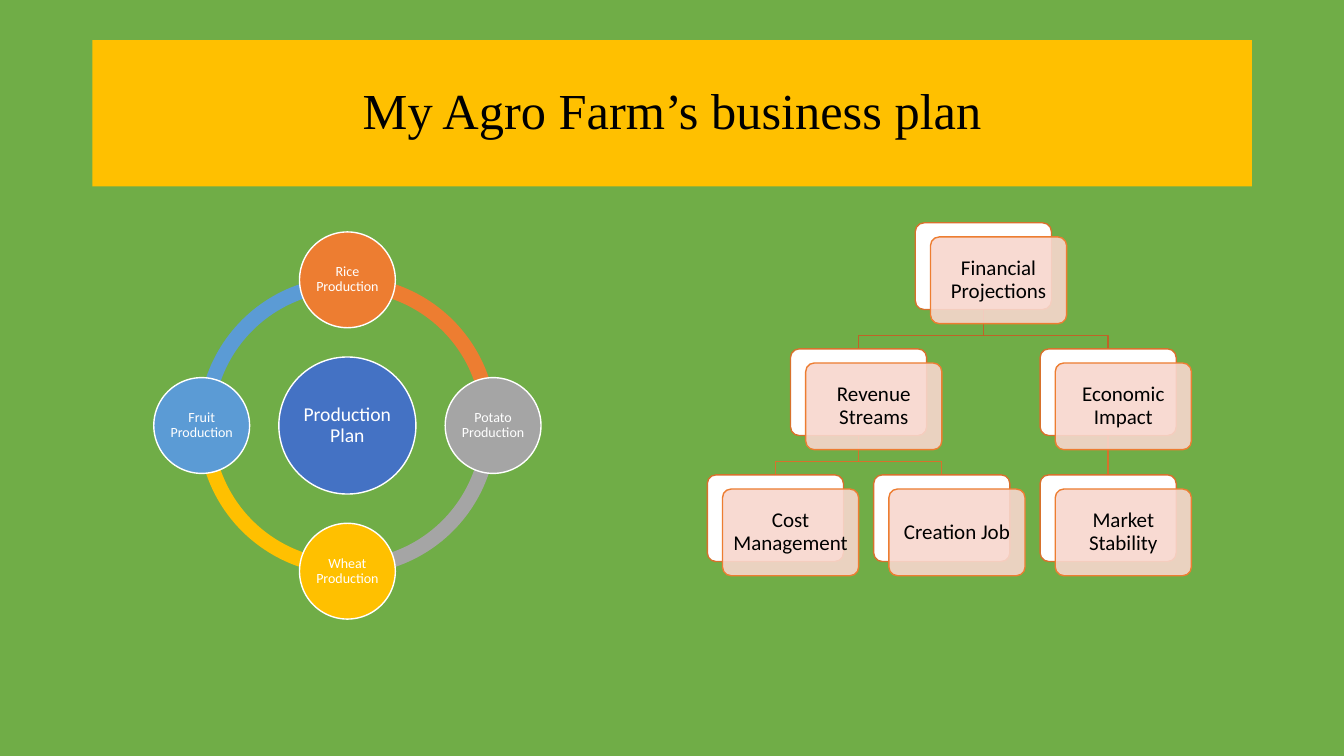
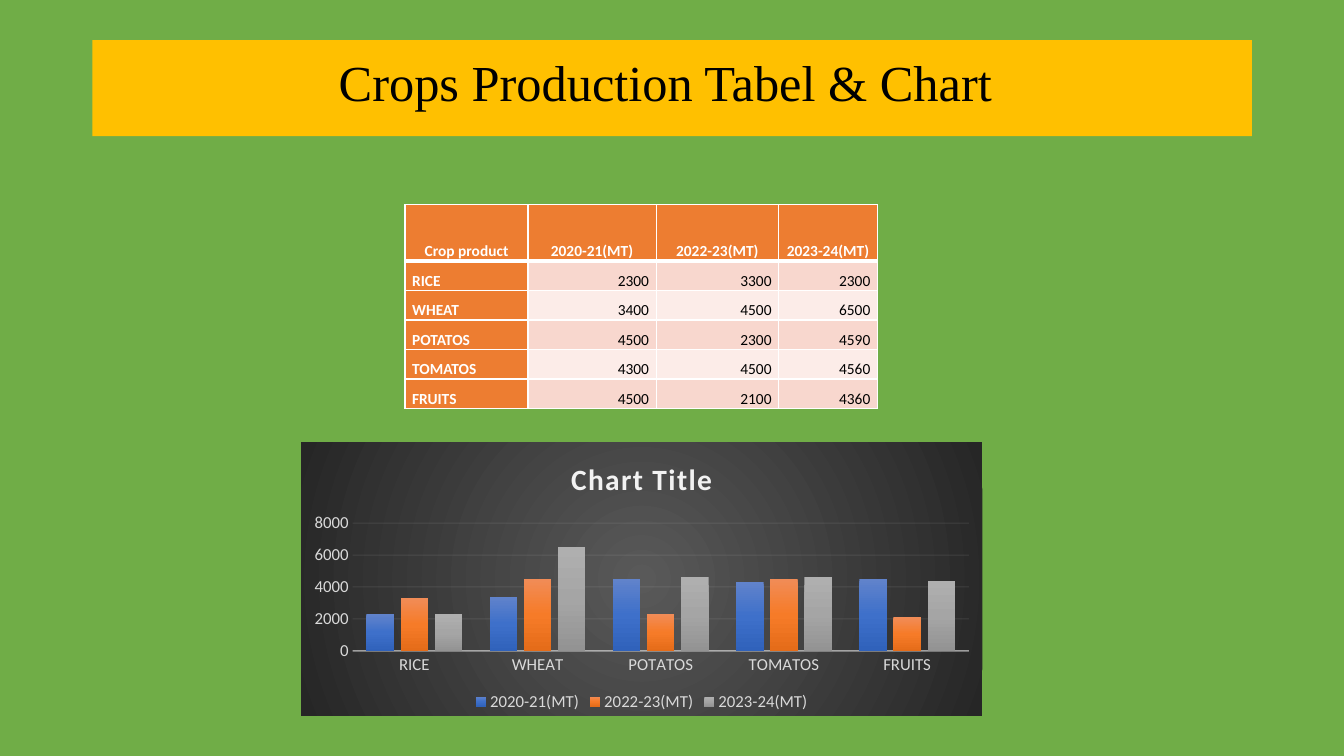
from dataclasses import dataclass
from math import cos, radians, sin

from pptx import Presentation
from pptx import util as u
from pptx.chart.data import CategoryChartData
from pptx.dml.color import RGBColor
from pptx.enum import chart as ch, shapes, text
from pptx.oxml import parse_xml
from pptx.oxml.ns import nsdecls

MSO, ALIGN, ANCHOR = shapes.MSO_SHAPE, text.PP_ALIGN, text.MSO_ANCHOR


@dataclass(frozen=True)
class Theme:
    green: str = "70AD47"
    gold: str = "FFC000"
    blue: str = "4472C4"
    sky: str = "5B9BD5"
    gray: str = "A5A5A5"
    orange: str = "ED7D31"
    rust: str = "D7712C"
    brown: str = "BE6427"
    peach: str = "F8D7CE"
    blush: str = "FCECE8"
    white: str = "FFFFFF"
    black: str = "000000"
    pale: str = "F2F2F2"
    label: str = "D9D9D9"
    serif: str = "Times New Roman"
    sans: str = "Calibri"
    head: int = 36
    hub: int = 14
    node: int = 10
    card: int = 15
    cell: int = 11
    axis: int = 12
    title: int = 21


T = Theme()
WIDE, HIGH = u.Inches(13.33), u.Inches(7.5)


# Lengths are percentages of the slide's width and height
def across(share: float) -> int:
    return round(WIDE * share / 100)


def down(share: float) -> int:
    return round(HIGH * share / 100)


@dataclass(frozen=True)
class Box:
    left: float
    top: float
    width: float
    height: float

    def emu(self) -> tuple:
        return (across(self.left), down(self.top),
                across(self.width), down(self.height))


@dataclass(frozen=True)
class Disc:
    label: str
    color: str
    angle: int


@dataclass(frozen=True)
class Card:
    label: str
    col: float
    row: int
    parent: int | None = None


DISCS = [Disc("Rice Production", T.orange, 270),
         Disc("Potato Production", T.gray, 0),
         Disc("Wheat Production", T.gold, 90),
         Disc("Fruit Production", T.sky, 180)]
CARDS = [Card("Financial Projections", 1.25, 0),
         Card("Revenue Streams", 0.5, 1, 0),
         Card("Cost Management", 0, 2, 1),
         Card("Creation Job", 1, 2, 1),
         Card("Economic Impact", 2, 1, 0),
         Card("Market Stability", 2, 2, 4)]
YEARS = ["2020-21(MT)", "2022-23(MT)", "2023-24(MT)"]
CROPS = {"RICE": (2300, 3300, 2300),
         "WHEAT": (3400, 4500, 6500),
         "POTATOS": (4500, 2300, 4590),
         "TOMATOS": (4300, 4500, 4560),
         "FRUITS": (4500, 2100, 4360)}
SHADES = [("6183CB", "3E70CA", "3062BB"),
          ("F18C57", "F67B28", "E56C19"),
          ("AFAFAF", "A5A5A5", "939393")]


# Formatting helpers
def apply(item, **values) -> None:
    for name, value in values.items():
        setattr(item, name, value)


def style(font, size: int, color: str, face: str = T.sans, bold: bool = False) -> None:
    apply(font, size=u.Pt(size), name=face, bold=bold)
    font.color.rgb = RGBColor.from_string(color)


def stroke(line, color: str, width: float = 1) -> None:
    line.color.rgb = RGBColor.from_string(color)
    line.width = u.Pt(width)


def fade(element, query: str, share: int) -> None:
    for color in element.xpath(query):
        color.append(parse_xml(f'<a:alpha {nsdecls("a")} val="{share * 1000}"/>'))


def blend(colors: tuple, way: str) -> str:
    step = 100000 // (len(colors) - 1)
    stops = "".join(f'<a:gs pos="{i * step}"><a:srgbClr val="{c}"/></a:gs>'
                    for i, c in enumerate(colors))
    return f'<a:gradFill {nsdecls("a")}><a:gsLst>{stops}</a:gsLst>{way}</a:gradFill>'


def write(frame, words: str, size: int, color: str, face: str = T.sans,
          inset: float | None = None) -> None:
    apply(frame, word_wrap=True, vertical_anchor=ANCHOR.MIDDLE)
    if inset is not None:
        sides = ("left", "top", "right", "bottom")
        apply(frame, **{f"margin_{side}": u.Inches(inset) for side in sides})
    par = frame.paragraphs[0]
    apply(par, text=words, alignment=ALIGN.CENTER, line_spacing=0.9)
    style(par.runs[0].font, size, color, face)


def draw(slide, kind, box: tuple, fill: str, edge: str | None = None):
    shape = slide.shapes.add_shape(kind, *box)
    shape.shadow.inherit = False
    shape.fill.solid()
    shape.fill.fore_color.rgb = RGBColor.from_string(fill)
    if edge:
        stroke(shape.line, edge)
    else:
        shape.line.fill.background()
    return shape


def start(deck, title: str, height: float):
    slide = deck.slides.add_slide(deck.slide_layouts[6])
    slide.background.fill.solid()
    slide.background.fill.fore_color.rgb = RGBColor.from_string(T.green)
    band = draw(slide, MSO.RECTANGLE, Box(6.88, 5.33, 86.27, height).emu(), T.gold)
    write(band.text_frame, title, T.head, T.black, T.serif)
    return slide, band


# Ring of products around a hub
def ring(slide) -> None:
    mid, level = across(25.85), down(56.29)

    def round_box(size: float, angle: int = 0, orbit: float = 0) -> tuple:
        side, reach = down(size), down(orbit)
        return (round(mid + reach * cos(radians(angle)) - side / 2),
                round(level + reach * sin(radians(angle)) - side / 2), side, side)

    for disc in reversed(DISCS):
        arc = draw(slide, MSO.BLOCK_ARC, round_box(39.47), disc.color)
        ends = (disc.angle, (disc.angle + 90) % 360)
        for i, value in enumerate([end * 0.6 for end in ends] + [0.05]):
            arc.adjustments[i] = value
    hub = draw(slide, MSO.OVAL, round_box(18.13), T.blue, T.white)
    write(hub.text_frame, "Production Plan", T.hub, T.white, inset=0.02)
    for disc in DISCS:
        node = draw(slide, MSO.OVAL, round_box(12.67, disc.angle, 19.27),
                    disc.color, T.white)
        write(node.text_frame, disc.label, T.node, T.white, inset=0.01)


# Link between cards: a straight line, or one bent outline
def join(slide, route: list, color: str) -> None:
    first, *rest = [(across(x), down(y)) for x, y in route]
    if first[0] == rest[-1][0]:
        link = slide.shapes.add_connector(shapes.MSO_CONNECTOR.STRAIGHT,
                                          *first, *rest[-1])
        link._element.spPr.append(parse_xml(f'<a:effectLst {nsdecls("a")}/>'))
    else:
        path = slide.shapes.build_freeform(*first)
        path.add_line_segments(rest, close=False)
        link = path.convert_to_shape()
        link.shadow.inherit = False
        link.fill.background()
    stroke(link.line, color)


# Tree of cards with a plain back and a tinted front
def tree(slide) -> None:
    wide, high = 10.13, 11.47

    def spot(card: Card) -> tuple:
        return 52.63 + card.col * 12.38, 29.47 + card.row * 16.67

    for card in reversed(CARDS):
        if card.parent is None:
            continue
        boss = CARDS[card.parent]
        (px, py), (cx, cy) = spot(boss), spot(card)
        px, cx, low = px + wide / 2, cx + wide / 2, py + high
        bend = low + 3.47
        join(slide, [(px, low), (px, bend), (cx, bend), (cx, cy)],
             T.rust if boss.row else T.brown)
    for card in CARDS:
        x, y = spot(card)
        back = draw(slide, MSO.ROUNDED_RECTANGLE, Box(x, y, wide, high).emu(),
                    T.white, T.rust)
        front = draw(slide, MSO.ROUNDED_RECTANGLE,
                     Box(x + 1.13, y + 1.87, wide, high).emu(), T.peach, T.orange)
        for sheet in (back, front):
            sheet.adjustments[0] = 0.1
        fade(front._element, "./p:spPr/a:solidFill/a:srgbClr", 90)
        write(front.text_frame, card.label, T.card, T.black, inset=0.06)


# Table of yields
def table(slide) -> None:
    rows = [("Crop product", *YEARS)] + [(crop, *nums) for crop, nums in CROPS.items()]
    cols = (9.15, 9.53, 9.12, 7.35)
    grid = slide.shapes.add_table(len(rows), len(cols),
                                  *Box(30.14, 27.07, sum(cols), 26.97).emu()).table
    apply(grid, first_row=False, horz_banding=False)
    for col, share in zip(grid.columns, cols):
        col.width = across(share)
    for r, row in enumerate(rows):
        grid.rows[r].height = down(3.9 if r else 7.47)
        for c, value in enumerate(row):
            cell, key = grid.cell(r, c), r == 0 or c == 0
            apply(cell, text=str(value), vertical_anchor=ANCHOR.BOTTOM,
                  margin_left=u.Inches(0.07), margin_right=u.Inches(0.07),
                  margin_top=0, margin_bottom=0)
            par = cell.text_frame.paragraphs[0]
            side = ALIGN.CENTER if r == 0 else ALIGN.RIGHT if c else ALIGN.LEFT
            apply(par, alignment=side, line_spacing=1.07)
            style(par.runs[0].font, T.cell, T.white if key else T.black, bold=key)
            cell.fill.solid()
            tint = T.orange if key else T.peach if r % 2 else T.blush
            cell.fill.fore_color.rgb = RGBColor.from_string(tint)
            for i, edge in enumerate("LRTB"):
                thick = 3 if (r, edge) in ((0, "B"), (1, "T")) else 1
                cell._tc.get_or_add_tcPr().insert(i, parse_xml(
                    f'<a:ln{edge} {nsdecls("a")} w="{u.Pt(thick)}"><a:solidFill>'
                    f'<a:srgbClr val="{T.white}"/></a:solidFill></a:ln{edge}>'))


# Column chart of the same yields, to the nearest hundred
def graph(slide) -> None:
    data = CategoryChartData()
    data.categories = list(CROPS)
    for year, nums in zip(YEARS, zip(*CROPS.values())):
        data.add_series(year, [round(num, -2) for num in nums])
    chart = slide.shapes.add_chart(ch.XL_CHART_TYPE.COLUMN_CLUSTERED,
                                   *Box(22.4, 58.53, 50.7, 36.13).emu(), data).chart
    style(chart.font, T.node, T.black)
    apply(chart, has_title=True, has_legend=True)
    par = chart.chart_title.text_frame.paragraphs[0]
    par.text = "Chart Title"
    style(par.runs[0].font, T.title, T.pale, bold=True)
    par.runs[0]._r.get_or_add_rPr().set("spc", "100")
    apply(chart.legend, position=ch.XL_LEGEND_POSITION.BOTTOM, include_in_layout=False)
    style(chart.legend.font, T.axis, T.label)

    cats, vals = chart.category_axis, chart.value_axis
    for axis in (cats, vals):
        apply(axis, major_tick_mark=ch.XL_TICK_MARK.NONE,
              minor_tick_mark=ch.XL_TICK_MARK.NONE)
        style(axis.tick_labels.font, T.axis, T.label)
    apply(vals, minimum_scale=0, maximum_scale=8000, major_unit=2000)
    stroke(cats.format.line, T.pale)
    fade(cats._element, "./c:spPr//a:srgbClr", 54)
    vals.format.line.fill.background()
    stroke(vals.major_gridlines.format.line, T.pale, 0.75)
    fade(vals._element, "./c:majorGridlines//a:srgbClr", 10)

    plot = chart.plots[0]
    apply(plot, gap_width=100, overlap=-24, vary_by_categories=False)
    for bars, colors in zip(plot.series, SHADES):
        fill = blend(colors, '<a:lin ang="5400000" scaled="0"/>')
        bars._element.get_or_add_spPr().insert(0, parse_xml(fill))
    glow = blend(("595959", "262626"),
                 '<a:path path="circle"><a:fillToRect l="50000" t="50000" '
                 'r="50000" b="50000"/></a:path>')
    chart._chartSpace.chart.addnext(parse_xml(
        f'<c:spPr {nsdecls("c", "a")}>{glow}<a:ln><a:noFill/></a:ln></c:spPr>'))


def main() -> None:
    deck = Presentation()
    apply(deck, slide_width=WIDE, slide_height=HIGH)
    plan, _ = start(deck, "My Agro Farm’s business plan", 19.33)
    ring(plan)
    tree(plan)
    crops, band = start(deck, "Crops Production Tabel & Chart", 12.67)
    apply(band.text_frame, margin_right=u.Inches(0.23), margin_bottom=u.Inches(0.11))
    table(crops)
    graph(crops)
    deck.save("out.pptx")


if __name__ == "__main__":
    main()
